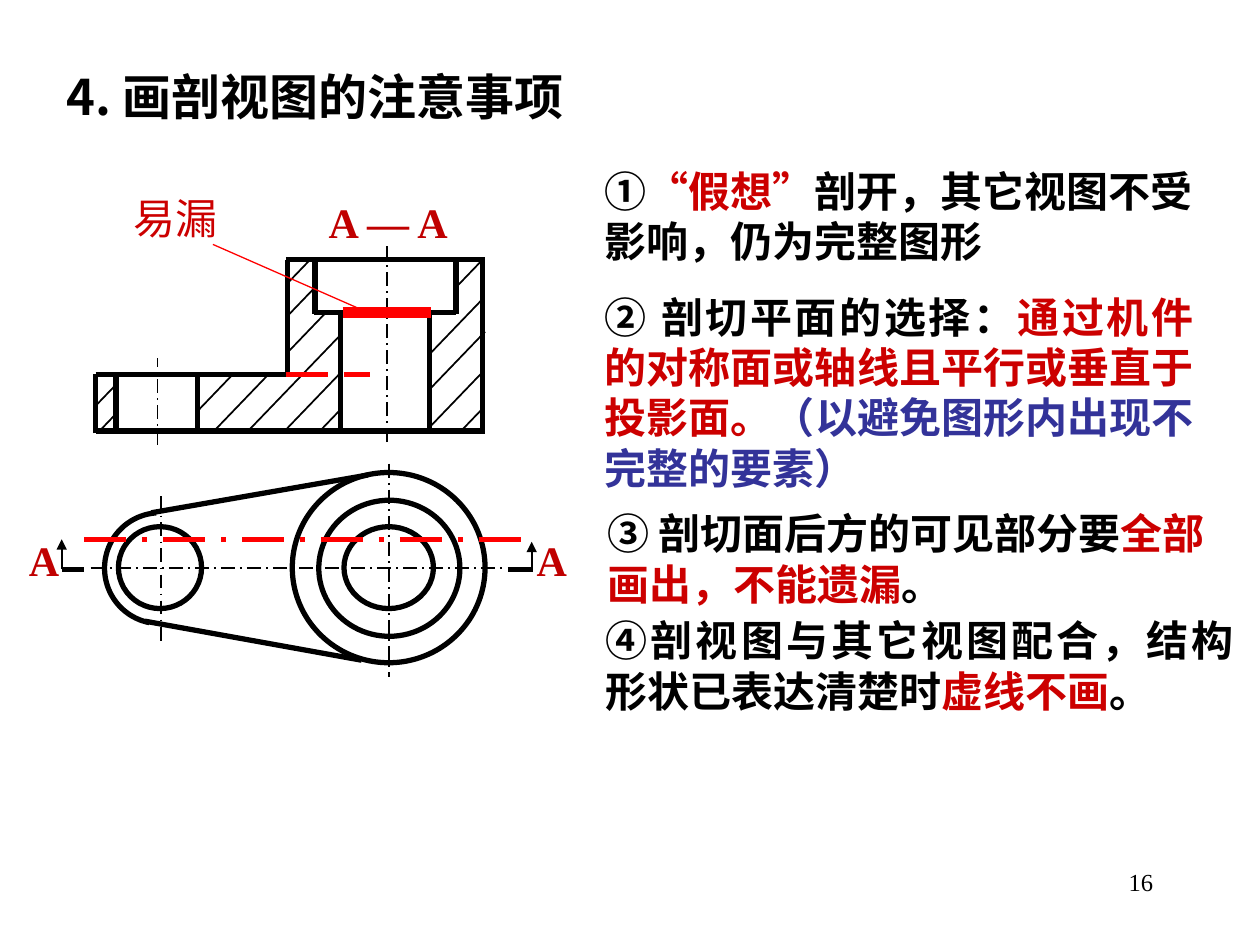
from math import cos, radians, sin

from lxml import etree
from pptx import Presentation
from pptx.dml.color import RGBColor
from pptx.enum.dml import MSO_LINE
from pptx.enum.shapes import MSO_CONNECTOR, MSO_SHAPE
from pptx.enum.text import MSO_ANCHOR, PP_ALIGN
from pptx.oxml.ns import qn
from pptx.util import Inches, Pt

COLORS = {
    "black": "000000",
    "red": "CC0000",
    "label": "C00000",
    "blue": "333399",
    "bright": "FF0000",
}
SANS = "Noto Sans CJK SC"
SERIF = "Times New Roman"


def write(box, place, spans, size=24, bold=True, align=PP_ALIGN.LEFT, chinese=True, wrap=True):
    """Place a text shape and fill it with (text, colour, font) spans."""
    box.left, box.top, box.width, box.height = [Inches(value) for value in place]
    frame = box.text_frame
    frame.word_wrap = wrap
    frame.vertical_anchor = MSO_ANCHOR.TOP if chinese else MSO_ANCHOR.MIDDLE
    para = frame.paragraphs[0]
    para.alignment = align
    if chinese:
        # A fixed pitch keeps the tall Chinese font compact; the inset recentres it.
        frame.margin_top = Inches(0.09)
        para.line_spacing = Pt(size * 1.2)
    for text, color, font in spans:
        span = para.add_run()
        span.text = text
        span.font.name = font
        span.font.size = Pt(size)
        span.font.bold = bold
        span.font.color.rgb = RGBColor.from_string(COLORS[color])
        if chinese:
            etree.SubElement(span._r.get_or_add_rPr(), qn("a:ea")).set("typeface", SANS)


def draw_line(start_x, start_y, end_x, end_y, width=3, color="black", dash=None, arrow=False):
    line = slide.shapes.add_connector(
        MSO_CONNECTOR.STRAIGHT, Inches(start_x), Inches(start_y), Inches(end_x), Inches(end_y))
    line.line.width = Pt(width)
    line.line.color.rgb = RGBColor.from_string(COLORS[color])
    if dash:
        line.line.dash_style = dash
    if arrow:
        etree.SubElement(line.line._get_or_add_ln(), qn("a:tailEnd")).set("type", "triangle")
    etree.SubElement(line._element.spPr, qn("a:effectLst"))


deck = Presentation()
deck.slide_width, deck.slide_height = Inches(10), Inches(7.5)
slide = deck.slides.add_slide(deck.slide_layouts[5])
write(slide.shapes.title, (0.43, 0.44, 5.18, 0.57),
      [("4. 画剖视图的注意事项", "black", SANS)], size=28)

# Centre lines of both views
for center_line in [
    (0.72, 4.51, 3.99, 4.51),
    (3.09, 3.68, 3.09, 5.37),
    (1.28, 3.94, 1.28, 5.1),
    (3.07, 3.51, 3.07, 1.94),
    (1.25, 3.53, 1.25, 2.84),
]:
    draw_line(*center_line, width=1, dash=MSO_LINE.LONG_DASH_DOT)

# Top view: circles, rounded end and tangents
outlines = []
for left, top, width, height in [
    (2.32, 3.75, 1.53, 1.51),
    (2.53, 3.97, 1.12, 1.08),
    (2.73, 4.18, 0.71, 0.65),
    (0.94, 4.18, 0.66, 0.65),
]:
    outlines.append(slide.shapes.add_shape(
        MSO_SHAPE.OVAL, Inches(left), Inches(top), Inches(width), Inches(height)))

end_arc = [(Inches(1.27 + 0.44 * cos(radians(angle))), Inches(4.51 - 0.44 * sin(radians(angle))))
           for angle in range(94, 262, 3)]
builder = slide.shapes.build_freeform(*end_arc[0])
builder.add_line_segments(end_arc[1:], close=False)
outlines.append(builder.convert_to_shape())
for outline in outlines:
    outline.fill.background()
    outline.line.color.rgb = RGBColor.from_string(COLORS["black"])
    outline.line.width = Pt(3)
    outline.shadow.inherit = False

draw_line(1.2, 4.07, 2.92, 3.77)
draw_line(1.15, 4.93, 2.87, 5.24)

# Section hatching: lower left end and horizontal run, all at one slope
for x, y, run in [
    (2.28, 2.8, 0.3), (2.53, 3.43, 0.18), (2.25, 3.43, 0.46), (1.97, 3.42, 0.74),
    (1.69, 3.43, 0.43), (2.28, 2.51, 0.21), (2.28, 2.25, 0.19), (1.58, 3.25, 0.26),
    (3.65, 3.43, 0.18), (3.42, 3.38, 0.4), (3.41, 3.09, 0.44), (3.42, 2.8, 0.41),
    (3.61, 2.29, 0.22), (0.76, 3.22, 0.17), (0.8, 3.41, 0.12),
]:
    draw_line(x, y, x + run, y - 1.04 * run, width=1)

# Front view: vertical and horizontal edges
for x, bottom, top in [
    (3.83, 3.42, 2.06), (0.76, 3.44, 2.97), (1.57, 3.42, 2.98), (0.92, 3.42, 2.97),
    (2.5, 2.49, 2.06), (3.62, 2.49, 2.06), (3.41, 3.42, 2.49), (2.7, 3.44, 2.49),
    (2.28, 2.98, 2.06),
]:
    draw_line(x, bottom, x, top)
for left, right, y in [(2.27, 3.85, 2.06), (0.76, 3.85, 3.42), (0.76, 2.28, 2.97), (2.49, 3.62, 2.48)]:
    draw_line(left, y, right, y)

# Cutting plane marks and section labels
draw_line(0.49, 4.52, 0.67, 4.52)
draw_line(4.03, 4.52, 4.23, 4.52)
draw_line(0.49, 4.52, 0.49, 4.28, width=1, arrow=True)
draw_line(4.22, 4.52, 4.22, 4.3, width=1, arrow=True)
for text, left, top, width in [("A", 0.13, 4.19, 0.44), ("A", 4.16, 4.19, 0.44), ("A — A", 2.49, 1.51, 1.18)]:
    write(slide.shapes.add_textbox(0, 0, 0, 0), (left, top, width, 0.5),
          [(text, "label", SERIF)], align=PP_ALIGN.CENTER, chinese=False, wrap=False)

# Red highlights
draw_line(2.72, 2.48, 3.42, 2.48, width=6, color="bright")
draw_line(2.92, 2.48, 1.69, 1.94, width=0.75, color="bright")
draw_line(2.27, 2.97, 2.94, 2.97, color="bright", dash=MSO_LINE.LONG_DASH)
draw_line(0.67, 4.28, 4.16, 4.28, color="bright", dash=MSO_LINE.LONG_DASH_DOT)
write(slide.shapes.add_textbox(0, 0, 0, 0), (0.95, 1.44, 0.89, 0.5),
      [("易漏", "red", SERIF)], bold=False, align=PP_ALIGN.CENTER)

notes = [
    ((4.7, 1.22, 4.87, 0.9), PP_ALIGN.LEFT, [
        ("①", "black", SERIF),
        ("“", "red", SERIF),
        ("假想”", "red", SANS),
        ("剖开，其它视图不受影响，仍为完整图形", "black", SANS)]),
    ((4.7, 2.22, 4.87, 1.7), PP_ALIGN.JUSTIFY, [
        ("② 剖切平面的选择：", "black", SANS),
        ("通过机件的对称面或轴线且平行或垂直于投影面。", "red", SANS),
        ("（以避免图形内出现不完整的要素）", "blue", SANS)]),
    ((4.72, 3.94, 5.18, 0.9), PP_ALIGN.LEFT, [
        ("③ 剖切面后方的可见部分要", "black", SANS),
        ("全部画出，不能遗漏", "red", SANS),
        ("。", "black", SANS)]),
    ((4.71, 4.79, 5.18, 0.9), PP_ALIGN.JUSTIFY, [
        ("④剖视图与其它视图配合，结构形状已表达清楚时", "black", SERIF),
        ("虚线不画", "red", SERIF),
        ("。", "black", SERIF)]),
]
for place, align, spans in notes:
    write(slide.shapes.add_textbox(0, 0, 0, 0), place, spans, align=align)

page_number = slide.shapes.add_textbox(0, 0, 0, 0)
write(page_number, (7.17, 6.83, 2.08, 0.5), [("16", "black", SERIF)],
      size=14, bold=False, align=PP_ALIGN.RIGHT, chinese=False)
page_number.text_frame.vertical_anchor = MSO_ANCHOR.TOP

deck.save("out.pptx")
